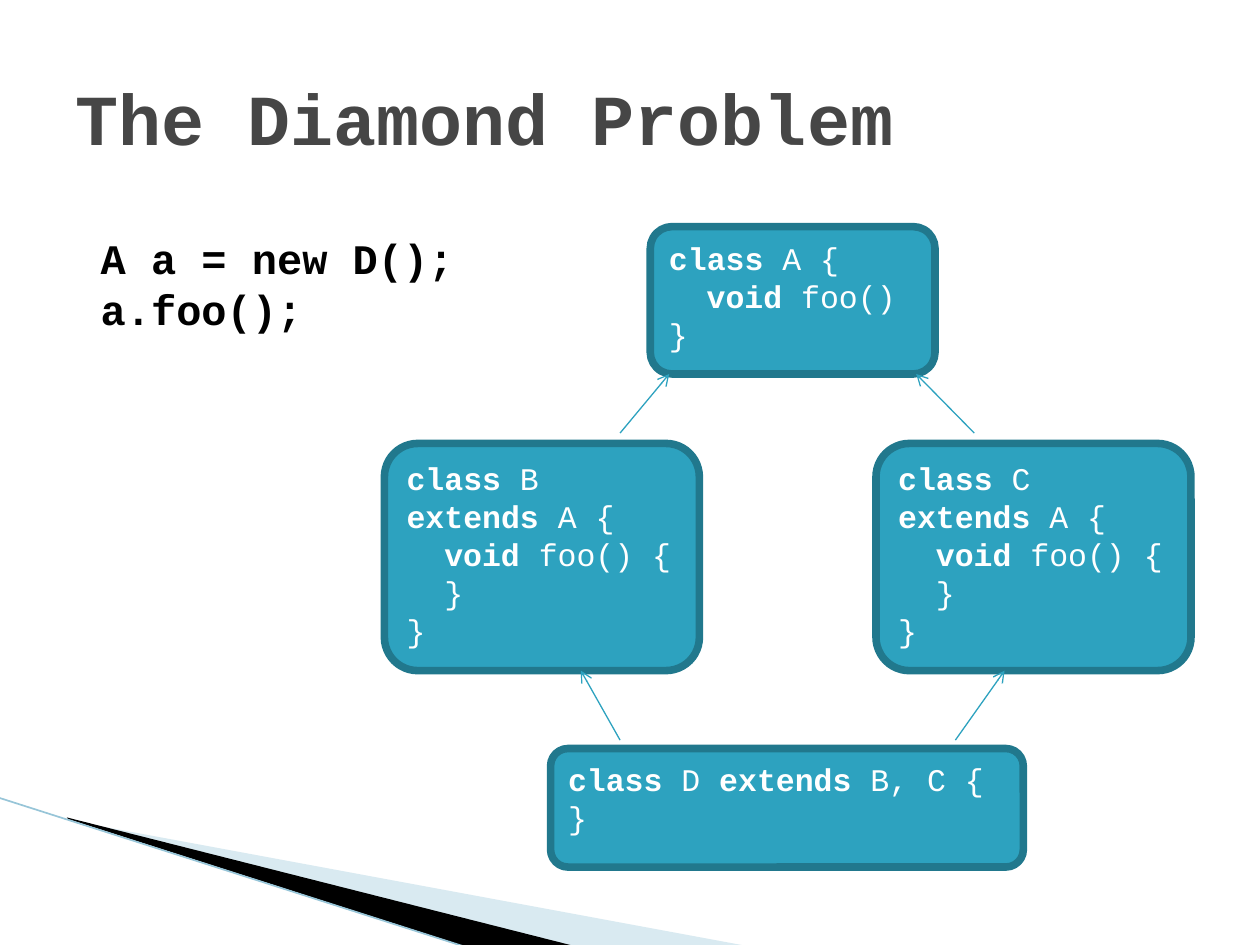
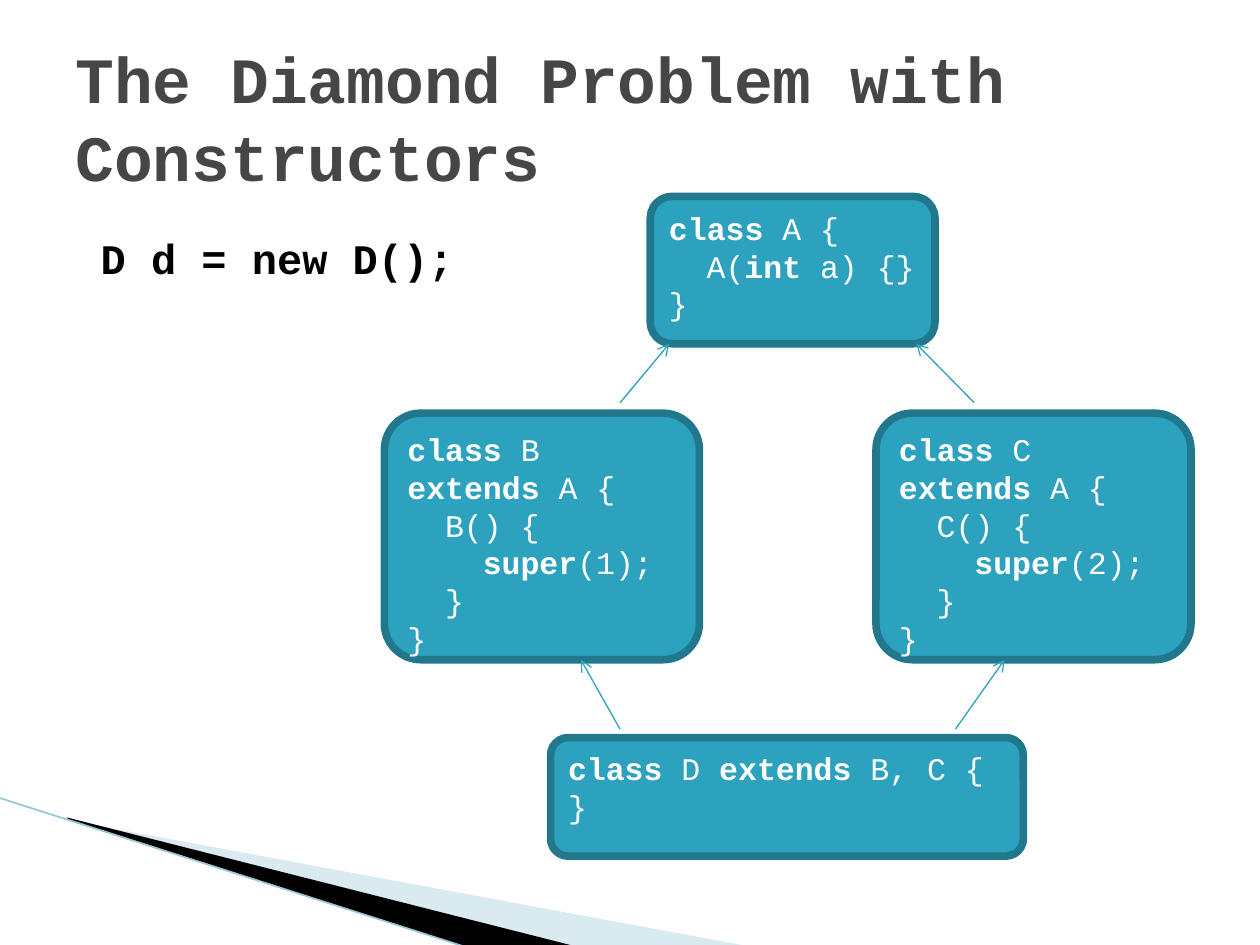
import pptx
import pptx.util
import pptx.dml.color
import pptx.enum.shapes
import pptx.enum.text
import pptx.oxml
import pptx.oxml.ns
from lxml import etree

Cm = pptx.util.Cm
Pt = pptx.util.Pt

COLORS = {
    "title": "464646",
    "code": "000000",
    "box": "2DA2BF",
    "box_edge": "21788D",
    "box_text": "FFFFFF",
    "wedge_light": "A0CBDC",
    "wedge_dark": "000000",
    "wedge_line": "97C5D8",
}
FONT = "Courier New"
CODE_INDENT = 0.76  # two characters of 18 pt code

SLIDE_BOX = (0, 0, 25.4, 19.05)
TITLE_BOX = (1.27, 0.76, 22.86, 3.18)
DIAGRAM_LEFT, DIAGRAM_WIDTH = 7.75, 16.26

# Code is a list of (indent level, text); words between asterisks are bold.
CLASS_D = [(0, "*class *D *extends* B, C {\n}")]


def color(name):
    """Return the named colour as an RGB value."""
    return pptx.dml.color.RGBColor.from_string(COLORS[name])


def style_paragraph(para, size, color_name, bold=None):
    """Set the shared font of one paragraph."""
    para.font.name = FONT
    para.font.size = Pt(size)
    para.font.bold = bold
    para.font.color.rgb = color(color_name)
    para.alignment = pptx.enum.text.PP_ALIGN.LEFT


def add_text(page, box, lines, size, color_name):
    """Add a text box of bold lines and return its frame."""
    frame = page.shapes.add_textbox(*map(Cm, box)).text_frame
    frame.word_wrap = True
    for number, line in enumerate(lines):
        para = frame.add_paragraph() if number else frame.paragraphs[0]
        para.text = line
        style_paragraph(para, size, color_name, bold=True)
    return frame


def add_title(page, box, text, size):
    """Add the slide title, centred vertically in its box."""
    frame = add_text(page, box, [text], size, "title")
    frame.vertical_anchor = pptx.enum.text.MSO_ANCHOR.MIDDLE


def add_usage(page, left, top, lines):
    """Add the calling code beside the diagram."""
    height = 0.25 + 1.03 * len(lines)
    frame = add_text(page, (left, top, 7.75, height), lines, 24, "code")
    frame.auto_size = pptx.enum.text.MSO_AUTO_SIZE.SHAPE_TO_FIT_TEXT


def add_line(page, start, end, color_name, width):
    """Add a straight line without shadow and return it."""
    line = page.shapes.add_connector(
        pptx.enum.shapes.MSO_CONNECTOR.STRAIGHT, *map(Cm, start + end))
    line.line.color.rgb = color(color_name)
    line.line.width = Pt(width)
    etree.SubElement(line._element.spPr, pptx.oxml.ns.qn("a:effectLst"))
    return line


def add_arrow(page, start, end):
    """Add an inheritance arrow with an open head at its end."""
    arrow = add_line(page, start, end, "box", 0.75)
    head = etree.SubElement(arrow.line._get_or_add_ln(), pptx.oxml.ns.qn("a:tailEnd"))
    head.set("type", "arrow")


def add_wedge(page, box, points, color_name, opacity=None):
    """Add a filled corner wedge from points relative to the box."""
    left, top = box[:2]
    corners = [(Cm(left + x), Cm(top + y)) for x, y in points]
    builder = page.shapes.build_freeform(*corners[0])
    builder.add_line_segments(corners[1:], close=True)
    wedge = builder.convert_to_shape()
    wedge.shadow.inherit = False
    wedge.fill.solid()
    wedge.fill.fore_color.rgb = color(color_name)
    wedge.line.fill.background()
    if opacity is not None:
        tint = wedge._element.spPr.find(".//" + pptx.oxml.ns.qn("a:srgbClr"))
        alpha = etree.SubElement(tint, pptx.oxml.ns.qn("a:alpha"))
        alpha.set("val", str(opacity * 1000))


def add_corner(page, box):
    """Decorate the lower left corner of the slide."""
    left, top = box[:2]
    add_wedge(page, box, [(1.4, 16.54), (15.11, 19.08), (11.58, 19.08), (1.4, 16.51)],
              "wedge_light", opacity=40)
    add_wedge(page, box, [(1.35, 16.48), (11.61, 19.08), (9.45, 19.1), (1.37, 16.51)],
              "wedge_dark")
    add_line(page, (left - 0.03, top + 16.08), (left + 9.42, top + 19.1),
             "wedge_line", 0.95)


def add_class(page, box, code):
    """Add a rounded box holding the code of one class."""
    shape = page.shapes.add_shape(
        pptx.enum.shapes.MSO_SHAPE.ROUNDED_RECTANGLE, *map(Cm, box))
    shape.adjustments[0] = 0.147
    shape.shadow.inherit = False
    shape.fill.solid()
    shape.fill.fore_color.rgb = color("box")
    shape.line.color.rgb = color("box_edge")
    shape.line.width = Pt(4.33)
    frame = shape.text_frame
    frame.word_wrap = True
    frame.vertical_anchor = pptx.enum.text.MSO_ANCHOR.TOP
    for number, (level, text) in enumerate(code):
        para = frame.add_paragraph() if number else frame.paragraphs[0]
        style_paragraph(para, 18, "box_text")
        if level:
            para._p.get_or_add_pPr().set("marL", str(Cm(level * CODE_INDENT)))
        for part, words in enumerate(text.split("*")):
            for row, piece in enumerate(words.split("\n")):
                if row:
                    para.add_line_break()
                if piece:
                    span = para.add_run()
                    span.text = piece
                    span.font.bold = part % 2 == 1


def add_diamond(page, box, classes):
    """Add the classes A to D as a diamond; B and C take the spare height."""
    left, top, width, height = box
    top_height, side_width, base_height = 2.97, 6.35, 2.39
    upper_gap, lower_gap = 1.4, 1.57
    side_height = height - top_height - base_height - upper_gap - lower_gap
    top_end = top + top_height
    side_top = top_end + upper_gap
    side_end = side_top + side_height

    add_class(page, (left, side_top, side_width, side_height), classes["B"])
    add_class(page, (left + 3.35, side_end + lower_gap, 9.53, base_height), classes["D"])
    add_class(page, (left + 5.36, top, 5.74, top_height), classes["A"])
    add_class(page, (left + width - side_width, side_top, side_width, side_height),
              classes["C"])

    for start_x, end_x, end_y, rise in [
        (11.51, 12.5, side_end, 1.4),
        (4.75, 3.96, side_end, 1.4),
        (11.89, 10.72, top_end, 1.19),
        (4.75, 5.74, top_end, 1.19),
    ]:
        add_arrow(page, (left + start_x, end_y + rise), (left + end_x, end_y))


def side_with_method(name):
    """Return the code of a subclass that overrides foo."""
    return [(0, f"*class* {name} *extends* A {{"), (1, "*void *foo() {"),
            (1, "}"), (0, "}")]


def side_with_constructor(name, value):
    """Return the code of a subclass whose constructor calls super."""
    return [(0, f"*class* {name} *extends* A {{"), (1, f"{name}() {{"),
            (2, f"*super*({value});"), (1, "}"), (0, "}")]


def top_class(member):
    """Return the code of class A with one member."""
    return [(0, "*class* A {"), (1, member), (0, "}")]


def add_slide(deck, title, title_size, usage, diagram_top, diagram_height, classes):
    """Add one slide with its title, usage code and class diamond."""
    page = deck.slides.add_slide(deck.slide_layouts[6])
    add_corner(page, SLIDE_BOX)
    add_title(page, TITLE_BOX, title, title_size)
    add_diamond(page, (DIAGRAM_LEFT, diagram_top, DIAGRAM_WIDTH, diagram_height), classes)
    add_usage(page, 1.78, 4.57, usage)


deck = pptx.Presentation()
deck.slide_width, deck.slide_height = map(Cm, SLIDE_BOX[2:])

add_slide(
    deck, "The Diamond Problem", 41, ["A a = new D();", "a.foo();"], 4.57, 12.91,
    {"A": top_class("*void *foo()"), "B": side_with_method("B"),
     "C": side_with_method("C"), "D": CLASS_D})
add_slide(
    deck, "The Diamond Problem with Constructors", 36.9, ["D d = new D();"], 3.96, 13.3,
    {"A": top_class("A(*int* a) {}"), "B": side_with_constructor("B", 1),
     "C": side_with_constructor("C", 2), "D": CLASS_D})

deck.save("out.pptx")
